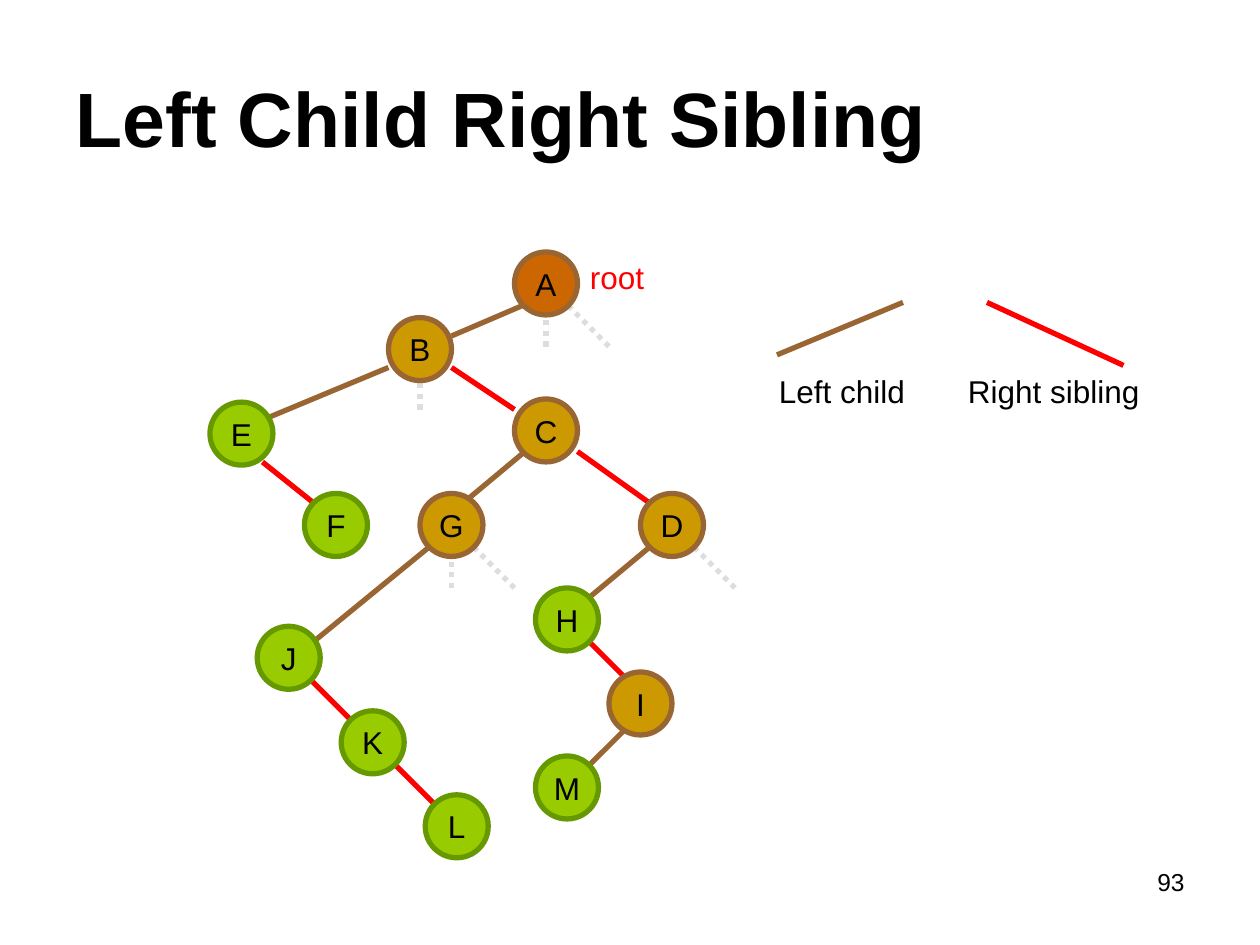
"""Build the left-child right-sibling tree slide on a grid of twelfths of an inch."""
from dataclasses import dataclass
from typing import Any, NamedTuple

from lxml import etree
from pptx import Presentation
from pptx import util as u
from pptx.dml.color import RGBColor
from pptx.enum import dml, shapes, text
from pptx.oxml import ns


@dataclass(frozen=True)
class Theme:
    font: str = "Arial"
    title_size: int = 44
    body_size: int = 18
    number_size: int = 14
    line_width: int = 3
    ink: str = "000000"
    child: str = "996633"
    sibling: str = "FF0000"
    missing: str = "DDDDDD"
    root: str = "CC6600"
    inner: str = "CC9900"
    leaf: str = "99CC00"
    leaf_rim: str = "669900"


class Node(NamedTuple):
    name: str
    col: float
    row: float
    fill: str
    rim: str


class Edge(NamedTuple):
    col: float
    row: float
    end_col: float
    end_row: float


class Label(NamedTuple):
    words: str
    col: float
    row: float
    cols: float
    rows: float
    color: str
    size: int
    align: Any = text.PP_ALIGN.LEFT


THEME = Theme()
COLUMNS, ROWS = 120, 90
CELL = u.Inches(10) // COLUMNS
DIAMETER = 6

NODES = [
    *(Node(*spot, THEME.root, THEME.child) for spot in [("A", 49, 24)]),
    *(Node(*spot, THEME.inner, THEME.child) for spot in [
        ("B", 37, 30.25), ("C", 49, 38), ("D", 61, 47), ("G", 40, 47), ("I", 58, 64)]),
    *(Node(*spot, THEME.leaf, THEME.leaf_rim) for spot in [
        ("E", 20, 38.3), ("F", 29, 47), ("H", 51, 56), ("J", 24.5, 59.65),
        ("K", 32.5, 67.7), ("L", 40.5, 75.7), ("M", 51, 72)]),
]

CHILD_EDGES = [
    Edge(43, 32, 50, 29), Edge(44, 48, 50, 43), Edge(56, 57, 62, 52),
    Edge(25, 40, 37, 35), Edge(30, 61, 41, 52), Edge(56, 73, 60, 69),
    Edge(74, 33.8, 86, 28.8),
]
SIBLING_EDGES = [
    Edge(49, 39, 43, 35), Edge(62, 48, 55, 43), Edge(30, 48, 25, 44),
    Edge(60, 65, 56, 61), Edge(33.5, 68.65, 29.5, 64.65),
    Edge(41.5, 76.7, 37.5, 72.7), Edge(107, 34.8, 94, 28.8),
]
MISSING_EDGES = [
    Edge(58, 33, 54, 29), Edge(52, 33, 52, 30), Edge(40, 39, 40, 36.25),
    Edge(43, 56, 43, 53), Edge(49, 56, 45, 52), Edge(70, 56, 66, 52),
]

LABELS = [
    Label("root", 55, 24, 19, 4.8, THEME.sibling, THEME.body_size),
    Label("Left child", 73, 34.8, 19, 4.8, THEME.ink, THEME.body_size),
    Label("Right sibling", 91, 34.8, 19, 4.8, THEME.ink, THEME.body_size),
    Label("93", 86, 82, 28, 6.2, THEME.ink, THEME.number_size, text.PP_ALIGN.RIGHT),
]


def cells(*counts: float) -> list[int]:
    """Turn grid counts into lengths."""
    return [round(count * CELL) for count in counts]


def apply(target: Any, formats: dict[str, Any]) -> None:
    """Set each named attribute on the target."""
    for name, value in formats.items():
        setattr(target, name, value)


def write(frame: Any, words: str, size: int, color: str, align: Any,
          bold: bool = False, **formats: Any) -> None:
    """Write one formatted paragraph into a text frame."""
    apply(frame, {"auto_size": text.MSO_AUTO_SIZE.NONE, **formats})
    paragraph = frame.paragraphs[0]
    paragraph.alignment = align
    run = paragraph.add_run()
    run.text = words
    apply(run.font, {"name": THEME.font, "size": u.Pt(size), "bold": bold})
    run.font.color.rgb = RGBColor.from_string(color)


def draw_edge(slide: Any, edge: Edge, color: str, dash: Any = None) -> None:
    """Draw a straight tree edge."""
    link = slide.shapes.add_connector(shapes.MSO_CONNECTOR.STRAIGHT, *cells(*edge))
    link.line.color.rgb = RGBColor.from_string(color)
    apply(link.line, {"width": u.Pt(THEME.line_width), "dash_style": dash})
    etree.SubElement(link._element.spPr, ns.qn("a:effectLst"))


def draw_node(slide: Any, node: Node) -> None:
    """Draw a lettered tree node."""
    circle = slide.shapes.add_shape(
        shapes.MSO_SHAPE.OVAL, *cells(node.col, node.row, DIAMETER, DIAMETER))
    circle.shadow.inherit = False
    circle.fill.solid()
    circle.fill.fore_color.rgb = RGBColor.from_string(node.fill)
    circle.line.color.rgb = RGBColor.from_string(node.rim)
    circle.line.width = u.Pt(THEME.line_width)
    write(circle.text_frame, node.name, THEME.body_size, THEME.ink, text.PP_ALIGN.CENTER,
          word_wrap=False, vertical_anchor=text.MSO_ANCHOR.MIDDLE)


def draw_label(slide: Any, label: Label) -> None:
    """Place a free-standing label."""
    box = slide.shapes.add_textbox(*cells(label.col, label.row, label.cols, label.rows))
    write(box.text_frame, label.words, label.size, label.color, label.align, word_wrap=True)


def draw_title(slide: Any, words: str) -> None:
    """Move and fill the title placeholder."""
    title = slide.shapes.title
    apply(title, dict(zip(("left", "top", "width", "height"), cells(6, 3.6, 108, 15))))
    write(title.text_frame, words, THEME.title_size, THEME.ink, text.PP_ALIGN.LEFT, bold=True,
          word_wrap=True, vertical_anchor=text.MSO_ANCHOR.MIDDLE)


def main() -> None:
    """Build and save the slide."""
    deck = Presentation()
    apply(deck, {"slide_width": COLUMNS * CELL, "slide_height": ROWS * CELL})
    slide = deck.slides.add_slide(deck.slide_layouts.get_by_name("Title Only"))
    draw_title(slide, "Left Child Right Sibling")
    for edges, color, dash in [
        (CHILD_EDGES, THEME.child, None),
        (SIBLING_EDGES, THEME.sibling, None),
        (MISSING_EDGES, THEME.missing, dml.MSO_LINE.ROUND_DOT),
    ]:
        for edge in edges:
            draw_edge(slide, edge, color, dash)
    for node in NODES:
        draw_node(slide, node)
    for label in LABELS:
        draw_label(slide, label)
    deck.save("out.pptx")


if __name__ == "__main__":
    main()
